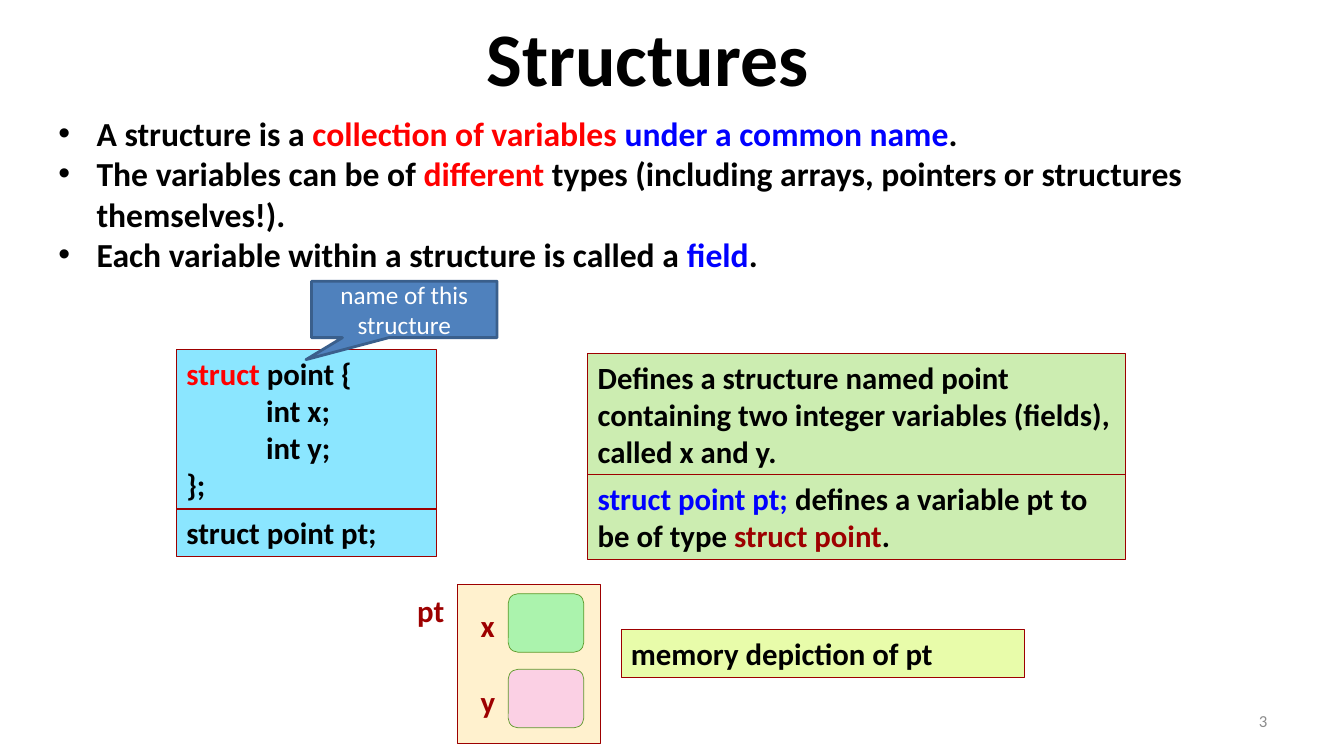
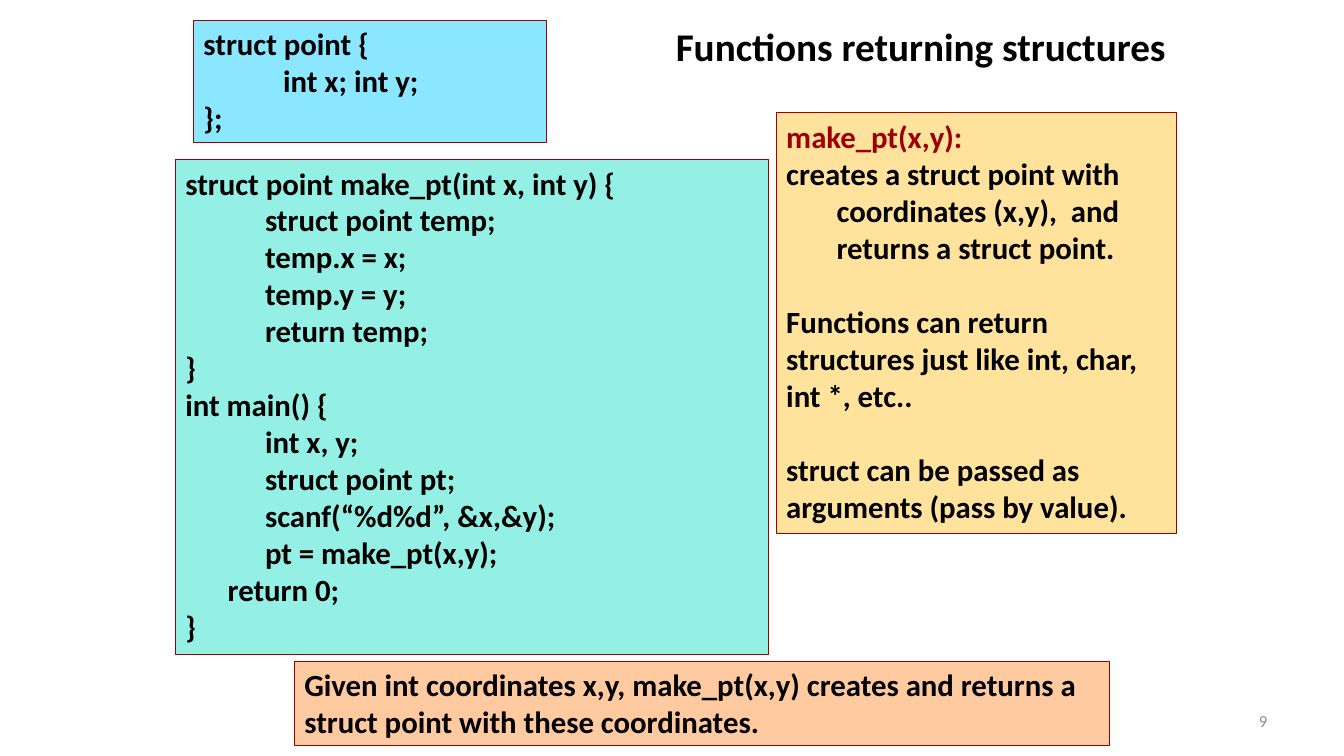
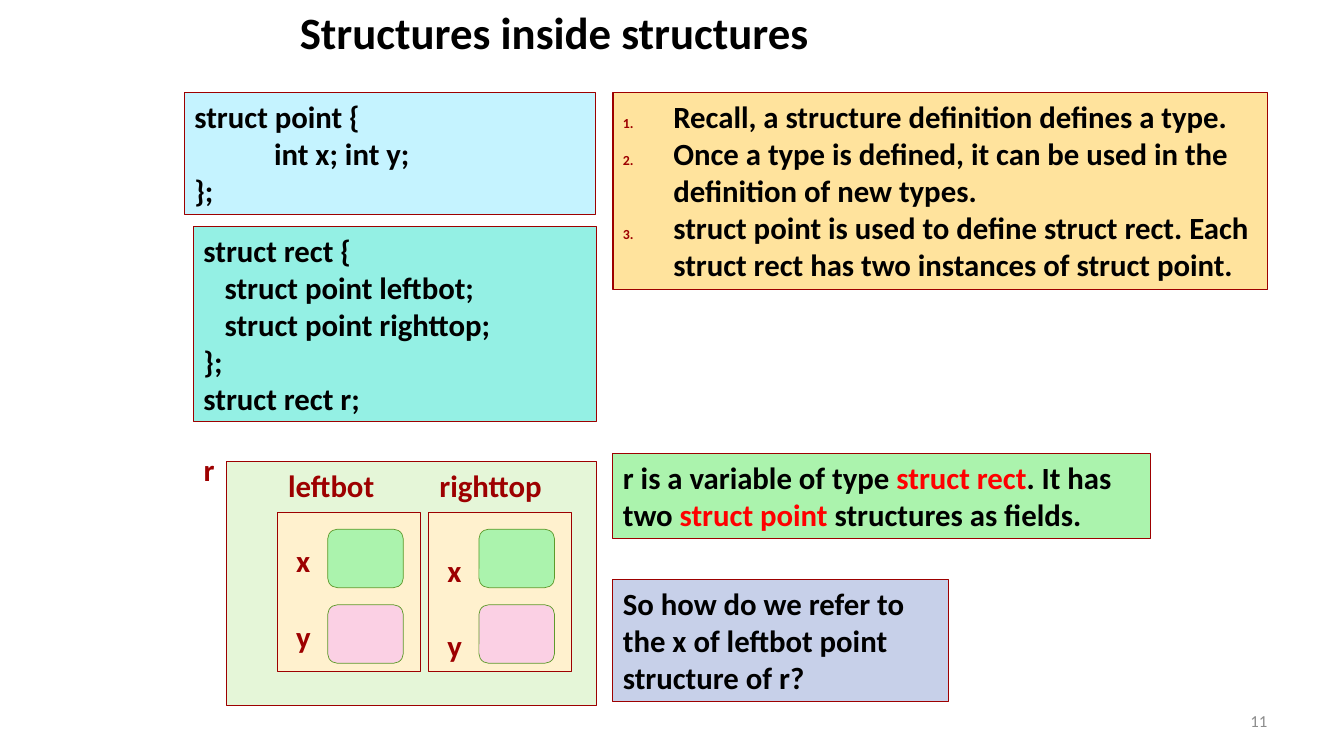
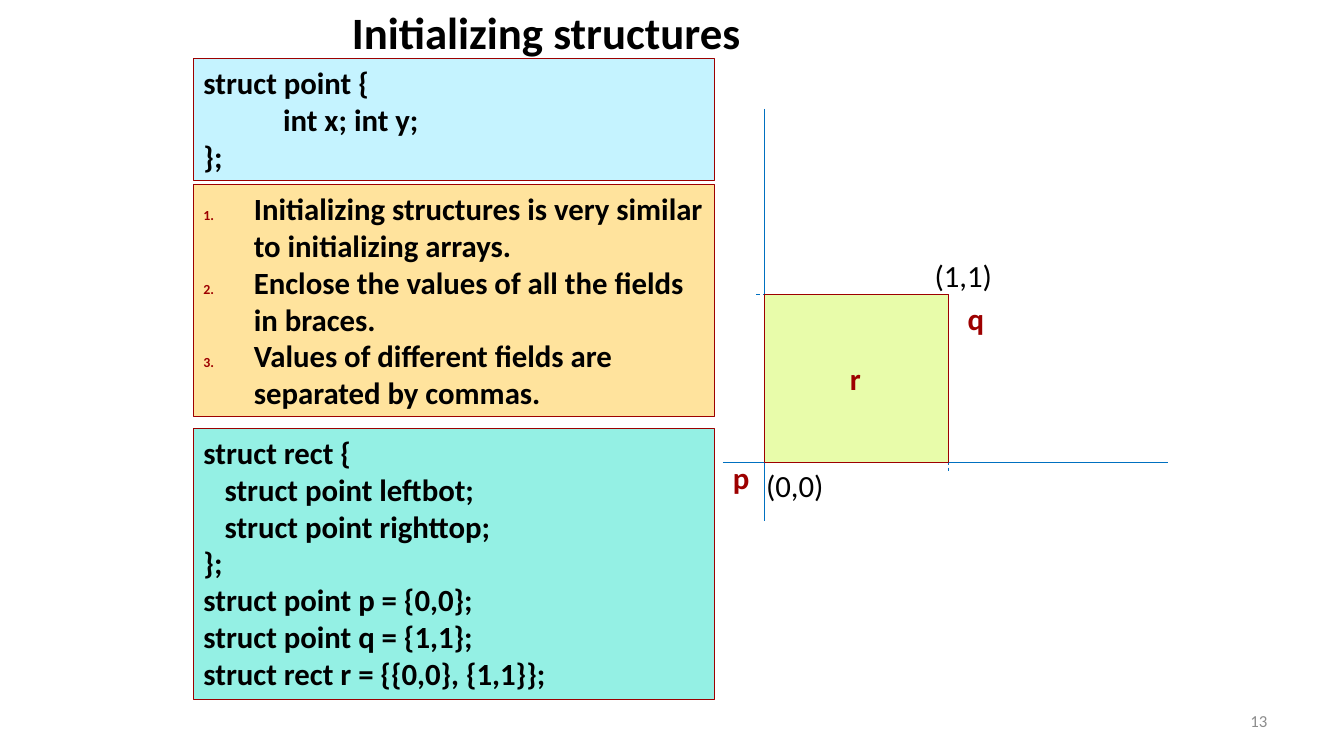
from collections import namedtuple
from lxml.etree import SubElement
from pptx import Presentation
from pptx.dml.color import RGBColor
from pptx.enum.dml import MSO_LINE
from pptx.enum.shapes import MSO_CONNECTOR, MSO_SHAPE
from pptx.enum.text import MSO_ANCHOR, MSO_AUTO_SIZE, PP_ALIGN
from pptx.oxml.ns import qn
from pptx.util import Inches, Pt

COLORS = {
    "text": "000000", "red": "FF0000", "blue": "0000FF", "maroon": "9D0000",
    "white": "FFFFFF", "number": "8C8C8C", "axis": "0070C0",
    "sky": "8BE6FF", "pale_sky": "C5F3FF", "teal": "94F0E4",
    "sage": "CCEDB1", "pale_sage": "E5F6D8", "cream": "FFF1CE",
    "sand": "FFE39D", "peach": "FFCA9F", "lime": "E8FCAA",
    "green": "ABF3AD", "pink": "FBD0E4", "lavender": "C7D0E9",
    "cell_line": "5D9A2B", "callout": "4F81BD", "callout_line": "3A5F8C",
}
FONT = "Calibri"
BODY_SIZE = 22
LINE_HEIGHT = 26.4   # points, one line of body text
TAB = 0.79           # inches, indent of a code block
SHORT_TAB = 0.21     # inches, indent of struct fields

Box = namedtuple("Box", "left top width height")
# runs: a string, or a list of (text, colour name) pairs
Line = namedtuple("Line", "runs margin hanging bullet before",
                  defaults=(0, 0, None, 0))

POINT_CODE = ["struct point {", Line("int x; int y;", TAB), "};"]
RECT_CODE = ["struct rect {", Line("struct point leftbot;", SHORT_TAB),
             Line("struct point righttop;", SHORT_TAB), "};"]


# ---- Shared helpers ----

def rgb(name):
    return RGBColor.from_string(COLORS[name])


def inches(box):
    return [Inches(value) for value in box]


def set_bullet(properties, bullet):
    """Adds a dot, or a small maroon number."""
    if bullet == "number":
        color = SubElement(properties, qn("a:buClr"))
        SubElement(color, qn("a:srgbClr")).set("val", COLORS["maroon"])
        SubElement(properties, qn("a:buSzPct")).set("val", "45000")
        SubElement(properties, qn("a:buAutoNum")).set("type", "arabicPeriod")
    elif bullet == "dot":
        SubElement(properties, qn("a:buFont")).set("typeface", "Arial")
        SubElement(properties, qn("a:buChar")).set("char", "•")


def write(shape, lines, size=BODY_SIZE, color="text", bold=True,
          align=PP_ALIGN.LEFT, anchor=MSO_ANCHOR.TOP, wrap=True):
    frame = shape.text_frame
    frame.word_wrap = wrap
    frame.auto_size = MSO_AUTO_SIZE.NONE if wrap else MSO_AUTO_SIZE.SHAPE_TO_FIT_TEXT
    frame.vertical_anchor = anchor
    for index, line in enumerate(lines):
        if isinstance(line, str):
            line = Line(line)
        paragraph = frame.add_paragraph() if index else frame.paragraphs[0]
        properties = paragraph._p.get_or_add_pPr()
        properties.set("marL", str(Inches(line.margin)))
        properties.set("indent", str(Inches(-line.hanging)))
        set_bullet(properties, line.bullet)
        paragraph.alignment = align
        paragraph.space_before = Pt(line.before)
        paragraph.font.name = FONT
        paragraph.font.size = Pt(size)
        paragraph.font.bold = bold
        paragraph.font.color.rgb = rgb(color)
        runs = [(line.runs, color)] if isinstance(line.runs, str) else line.runs
        for text, run_color in runs:
            run = paragraph.add_run()
            run.text = text
            if run_color != color:
                run.font.color.rgb = rgb(run_color)


def add_panel(slide, box, fill, lines=(), kind=MSO_SHAPE.RECTANGLE,
              line_color="maroon", line_width=0.75, **style):
    shape = slide.shapes.add_shape(kind, *inches(box))
    shape.shadow.inherit = False
    shape.fill.solid()
    shape.fill.fore_color.rgb = rgb(fill)
    shape.line.color.rgb = rgb(line_color)
    shape.line.width = Pt(line_width)
    if lines:
        write(shape, lines, **style)
    return shape


def add_text(slide, box, lines, **style):
    write(slide.shapes.add_textbox(*inches(box)), lines, **style)


def add_label(slide, left, top, width, text, color="maroon", bold=True):
    add_text(slide, Box(left, top, width, 0.47), [text],
             color=color, bold=bold, wrap=False)


def add_line(slide, start, end, dashed=False):
    line = slide.shapes.add_connector(MSO_CONNECTOR.STRAIGHT,
                                      *inches(start + end))
    line.line.color.rgb = rgb("axis")
    line.line.width = Pt(0.74)
    if dashed:
        line.line.dash_style = MSO_LINE.DASH
    SubElement(line._element.spPr, qn("a:effectLst"))


def numbered(*texts):
    return [Line(text, 0.5, 0.5, "number") for text in texts]


def start_slide(presentation, title, title_box, title_size, number,
                align=PP_ALIGN.CENTER):
    """Adds a slide with its title and its page number."""
    slide = presentation.slides.add_slide(presentation.slide_layouts[5])
    placeholder = slide.shapes.title
    placeholder.left, placeholder.top, placeholder.width, placeholder.height = inches(title_box)
    write(placeholder, [title], size=title_size, align=align)
    add_text(slide, Box(9.56, 6.95, 3.11, 0.4), [str(number)], size=12,
             color="number", bold=False, align=PP_ALIGN.RIGHT,
             anchor=MSO_ANCHOR.MIDDLE)
    return slide


# ---- Diagrams ----

def add_point_memory(slide, left, top, cell_top=0.17, label_left=0.09,
                     label_drop=0.08):
    """Draws one point: a frame with a cell for x and a cell for y."""
    add_panel(slide, Box(left, top, 1.42, 1.58), "cream")
    for row, (name, fill) in enumerate([("x", "green"), ("y", "pink")]):
        cell_y = top + cell_top + 0.75 * row
        add_panel(slide, Box(left + 0.5, cell_y, 0.75, 0.58), fill,
                  kind=MSO_SHAPE.ROUNDED_RECTANGLE,
                  line_color="cell_line", line_width=0.51)
        add_label(slide, left + label_left, cell_y + label_drop, 0.34, name)


def add_rect_memory(slide, box):
    """Draws the variable r with its two points."""
    left, top = box.left, box.top
    add_panel(slide, box, "pale_sage")
    fields = [("leftbot", 1.07, 0.08), ("righttop", 1.23, 0.17)]
    for column, (name, width, label_drop) in enumerate(fields):
        point_left = left + 0.5 + 1.5 * column
        add_point_memory(slide, point_left, top + 0.5, label_drop=label_drop)
        add_label(slide, point_left + 0.01, top, width, name)
    add_label(slide, left - 0.33, top - 0.16, 0.31, "r")


def add_plane(slide, square):
    """Draws the axes and the rectangle r between p and q."""
    left, top, width, height = square
    right, bottom = left + width, top + height
    add_line(slide, (left, top - 1.84), (left, bottom + 0.58))
    add_line(slide, (left - 0.41, bottom), (right + 2.17, bottom))
    add_line(slide, (right, top), (right, bottom + 0.08), dashed=True)
    add_line(slide, (left - 0.08, top), (right, top), dashed=True)
    add_panel(slide, square, "lime", line_width=0.51)
    add_label(slide, left - 0.41, bottom - 0.09, 0.36, "p")
    add_label(slide, left - 0.08, bottom - 0.01, 0.77, "(0,0)", "text", False)
    add_label(slide, right - 0.24, top - 0.42, 0.78, "(1,1)", "text", False)
    add_label(slide, right + 0.09, top, 0.36, "q")
    add_label(slide, left + 0.75, top + 0.6, 0.31, "r")


# ---- Slides ----

def build_structures(presentation):
    slide = start_slide(presentation, "Structures",
                        Box(4.33, 0.06, 4.19, 1.01), 54, 3)
    bullets = [
        [("A structure is a ", "text"), ("collection of variables ", "red"),
         ("under a common name", "blue"), (".", "text")],
        [("The variables can be of ", "text"), ("different", "red"),
         (" types (including arrays, pointers or structures themselves!).", "text")],
        [("Each variable within a structure is called a ", "text"),
         ("field", "blue"), (".", "text")],
    ]
    add_text(slide, Box(0.48, 1.07, 11.83, 1.72),
             [Line(runs, 0.38, 0.38, "dot") for runs in bullets], size=24)

    # Code and its explanation
    add_panel(slide, Box(5.83, 3.51, 5.33, 1.21), "sage",
              ["Defines a structure named point containing two integer "
               "variables (fields), called x and y."])
    add_panel(slide, Box(1.75, 3.47, 2.58, 1.58), "sky",
              [Line([("struct", "red"), (" point {", "text")]),
               Line("int x;", TAB), Line("int y;", TAB), "};"])
    add_panel(slide, Box(1.75, 5.05, 2.58, 0.47), "sky", ["struct point pt;"])
    add_panel(slide, Box(5.83, 4.71, 5.33, 0.84), "sage",
              [Line([("struct point pt; ", "blue"),
                     ("defines a variable pt to be of type ", "text"),
                     ("struct point", "maroon"), (".", "text")])])
    callout = add_panel(slide, Box(3.09, 2.79, 1.84, 0.56), "callout",
                        ["name of this structure"],
                        kind=MSO_SHAPE.RECTANGULAR_CALLOUT,
                        line_color="callout_line", line_width=2, size=18,
                        color="white", bold=False, align=PP_ALIGN.CENTER,
                        anchor=MSO_ANCHOR.MIDDLE)
    callout.adjustments[0] = -0.53
    callout.adjustments[1] = 0.89

    # Memory of pt
    add_point_memory(slide, 4.54, 5.8, cell_top=0.09, label_left=0.13)
    add_label(slide, 4.04, 5.82, 0.47, "pt")
    add_panel(slide, Box(6.16, 6.25, 4, 0.47), "lime",
              ["memory depiction of pt"])


def build_returning(presentation):
    slide = start_slide(presentation, "Functions returning structures",
                        Box(5.33, 0.17, 6.33, 0.57), 28, 9, PP_ALIGN.RIGHT)
    # Code
    add_panel(slide, Box(1.92, 0.2, 3.5, 1.21), "sky", POINT_CODE)
    make_body = ["struct point temp;", "temp.x = x;", "temp.y = y;",
                 "return temp;"]
    main_body = ["int x, y;", "struct point pt;", "scanf(“%d%d”, &x,&y);",
                 "pt = make_pt(x,y);"]
    add_panel(slide, Box(1.74, 1.58, 5.88, 4.91), "teal",
              ["struct point make_pt(int x, int y) {",
               *[Line(text, TAB) for text in make_body], "}",
               "int main() {", *[Line(text, TAB) for text in main_body],
               Line("return 0;", 2 * SHORT_TAB), "}"])
    # Explanation
    add_panel(slide, Box(7.7, 1.12, 3.97, 4.17), "sand",
              [Line([("make_pt(x,y):", "maroon")]),
               Line("creates a struct point with coordinates (x,y),  and "
                    "returns a struct point.", 0.5, 0.5),
               Line("Functions can return structures just like int, char, "
                    "int *, etc..", before=LINE_HEIGHT),
               Line("struct can be passed as arguments (pass by value).",
                    before=LINE_HEIGHT)])
    add_panel(slide, Box(2.92, 6.56, 8.08, 0.84), "peach",
              ["Given int coordinates x,y, make_pt(x,y) creates and returns "
               "a struct point with these coordinates."])


def build_nested(presentation):
    slide = start_slide(presentation, "Structures inside structures",
                        Box(1.75, 0, 7.5, 0.63), 32, 11)
    # Code and numbered notes
    add_panel(slide, Box(1.83, 0.92, 4.08, 1.21), "pale_sky", POINT_CODE)
    add_panel(slide, Box(6.08, 0.92, 6.49, 1.95), "sand", numbered(
        "Recall, a structure definition defines a type.",
        "Once a type is defined, it can be used in the definition of new types.",
        "struct point is used to define struct rect. Each struct rect has "
        "two instances of struct point."))
    add_panel(slide, Box(1.92, 2.25, 4, 1.93), "teal",
              RECT_CODE + ["struct rect r;"])
    # Memory of r
    add_rect_memory(slide, Box(2.25, 4.58, 3.67, 2.42))
    add_panel(slide, Box(6.08, 4.5, 5.33, 0.84), "green",
              [Line([("r is a variable of type ", "text"),
                     ("struct rect", "red"), (". It has two ", "text"),
                     ("struct point ", "red"),
                     ("structures as fields.", "text")])])
    add_panel(slide, Box(6.08, 5.75, 3.33, 1.21), "lavender",
              ["So how do we refer to the x of leftbot point structure of r?"])


def build_initializing(presentation):
    slide = start_slide(presentation, "Initializing structures",
                        Box(1.67, 0, 7.5, 0.63), 32, 13)
    # Code and numbered notes
    add_panel(slide, Box(1.92, 0.58, 5.17, 1.21), "pale_sky", POINT_CODE)
    add_panel(slide, Box(1.92, 1.83, 5.17, 2.3), "sand", numbered(
        "Initializing structures is very similar to initializing arrays.",
        "Enclose the values of all the fields in braces.",
        "Values of different fields are separated by commas."))
    add_panel(slide, Box(1.92, 4.25, 5.17, 2.69), "teal",
              RECT_CODE + ["struct point p = {0,0};",
                           "struct point q = {1,1};",
                           "struct rect r = {{0,0}, {1,1}};"])
    add_plane(slide, Box(7.58, 2.92, 1.83, 1.67))


presentation = Presentation()
presentation.slide_width = Inches(13.33)
presentation.slide_height = Inches(7.5)
for build in (build_structures, build_returning, build_nested,
              build_initializing):
    build(presentation)
presentation.save("out.pptx")
